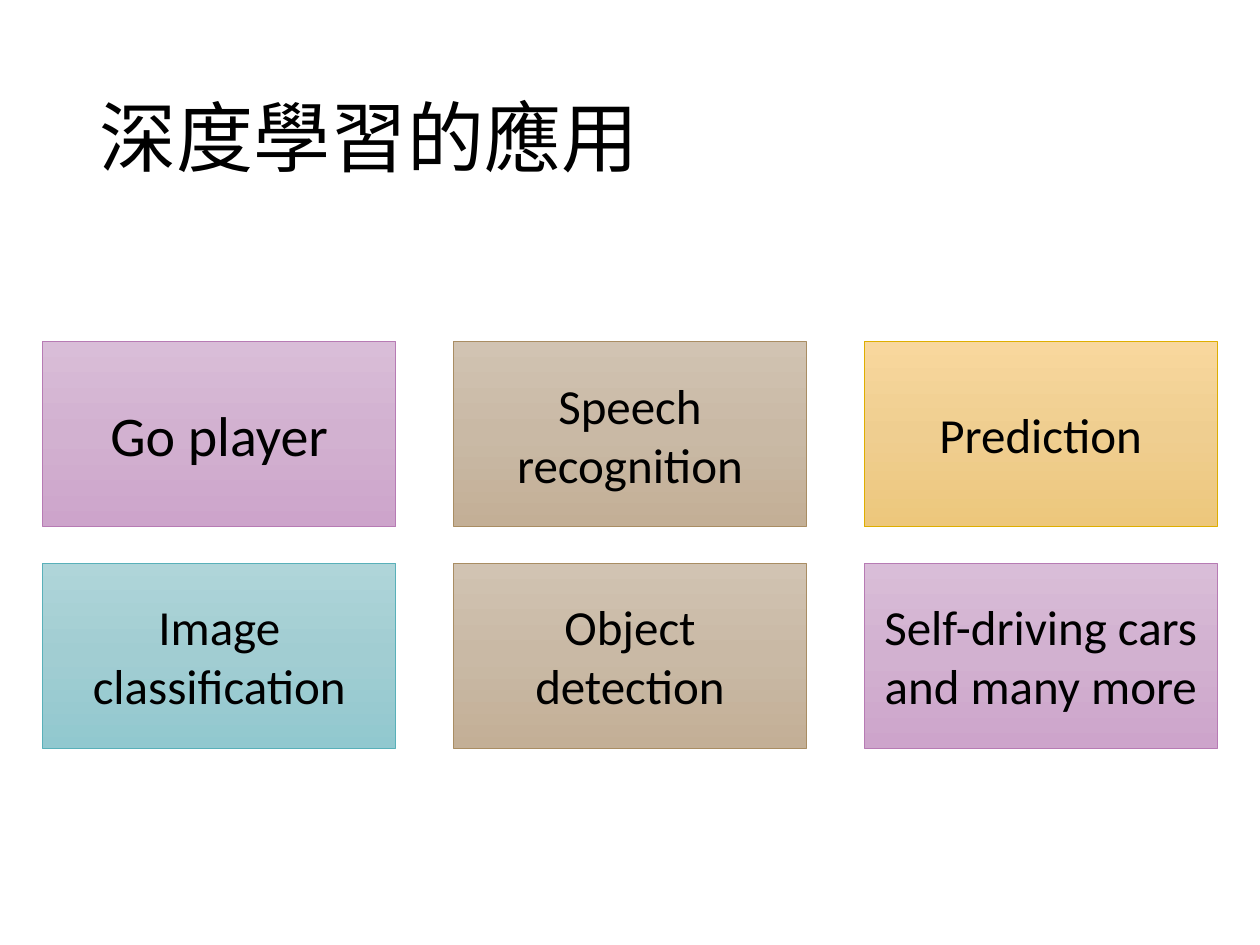
import copy

import pptx
import pptx.dml.color
import pptx.enum.text
import pptx.oxml.ns
import pptx.util

RGB = pptx.dml.color.RGBColor
ALIGN = pptx.enum.text.PP_ALIGN
ANCHOR = pptx.enum.text.MSO_ANCHOR
BLACK = RGB(0x00, 0x00, 0x00)
PURPLE = {"stops": (RGB(0xD9, 0xBD, 0xD8), RGB(0xD2, 0xB1, 0xD0), RGB(0xCD, 0xA4, 0xCB)),
          "line": RGB(0xB7, 0x7B, 0xB4)}
BROWN = {"stops": (RGB(0xD1, 0xC3, 0xB2), RGB(0xC9, 0xB9, 0xA5), RGB(0xC3, 0xAF, 0x96)),
         "line": RGB(0xA9, 0x8D, 0x63)}
GOLD = {"stops": (RGB(0xF8, 0xD7, 0x9D), RGB(0xEF, 0xCE, 0x90), RGB(0xED, 0xC7, 0x7C)),
        "line": RGB(0xDE, 0xAE, 0x00)}
TEAL = {"stops": (RGB(0xAF, 0xD5, 0xD9), RGB(0xA1, 0xCD, 0xD2), RGB(0x91, 0xC8, 0xCF)),
        "line": RGB(0x59, 0xB0, 0xB9)}

TITLE = "深度學習的應用"
TITLE_FONT = "Noto Sans CJK TC"
APPLICATIONS = [
    [("Go player", 32, PURPLE), ("Speech\nrecognition", 28, BROWN), ("Prediction", 28, GOLD)],
    [("Image classification", 28, TEAL), ("Object detection", 28, BROWN),
     ("Self-driving cars and many more", 28, PURPLE)],
]
LEFT, TOP = 0.34, 2.71
CARD_W, CARD_H = 2.8, 1.47
PITCH_X, PITCH_Y = 3.26, 1.76


def inches(*values):
    return [pptx.util.Inches(v) for v in values]


def set_font(font, **values):
    font.color.rgb = BLACK
    for name, value in values.items():
        setattr(font, name, value)


def set_gradient(fill, stops, shape):
    fill.gradient()
    fill.gradient_angle = 270
    first = shape._element.spPr.find(".//" + pptx.oxml.ns.qn("a:gs"))
    middle = copy.deepcopy(first)
    middle.set("pos", "50000")
    first.addnext(middle)
    for stop, color in zip(fill.gradient_stops, stops):
        stop.color.rgb = color


def add_title(slide):
    s = slide.shapes.title
    s.left, s.top, s.width, s.height = inches(0.69, 0.4, 8.62, 1.45)
    tf = s.text_frame
    tf.text = TITLE
    tf.vertical_anchor = ANCHOR.MIDDLE
    tf.auto_size = pptx.enum.text.MSO_AUTO_SIZE.NONE
    p = tf.paragraphs[0]
    p.alignment = ALIGN.LEFT
    p.line_spacing = 0.9
    r = p.runs[0]
    set_font(r.font, name=TITLE_FONT, size=pptx.util.Pt(44))
    ea = pptx.oxml.parse_xml(
        f'<a:ea {pptx.oxml.ns.nsdecls("a")} typeface="{TITLE_FONT}"/>')
    r.font._element.find(pptx.oxml.ns.qn("a:latin")).addnext(ea)


def add_card(slide, row, col, text, size, theme):
    box = inches(LEFT + col * PITCH_X, TOP + row * PITCH_Y, CARD_W, CARD_H)
    s = slide.shapes.add_shape(pptx.enum.shapes.MSO_SHAPE.RECTANGLE, *box)
    s.shadow.inherit = False
    set_gradient(s.fill, theme["stops"], s)
    s.line.color.rgb = theme["line"]
    s.line.width = pptx.util.Pt(0.5)
    tf = s.text_frame
    tf.text = text
    tf.word_wrap = True
    tf.vertical_anchor = ANCHOR.MIDDLE
    for p in tf.paragraphs:
        p.alignment = ALIGN.CENTER
        set_font(p.runs[0].font, name="Calibri", size=pptx.util.Pt(size))


def main():
    prs = pptx.Presentation()
    prs.slide_width, prs.slide_height = inches(10, 7.5)
    slide = prs.slides.add_slide(prs.slide_layouts[5])
    add_title(slide)
    for row, cards in enumerate(APPLICATIONS):
        for col, card in enumerate(cards):
            add_card(slide, row, col, *card)
    prs.save("out.pptx")


if __name__ == "__main__":
    main()
